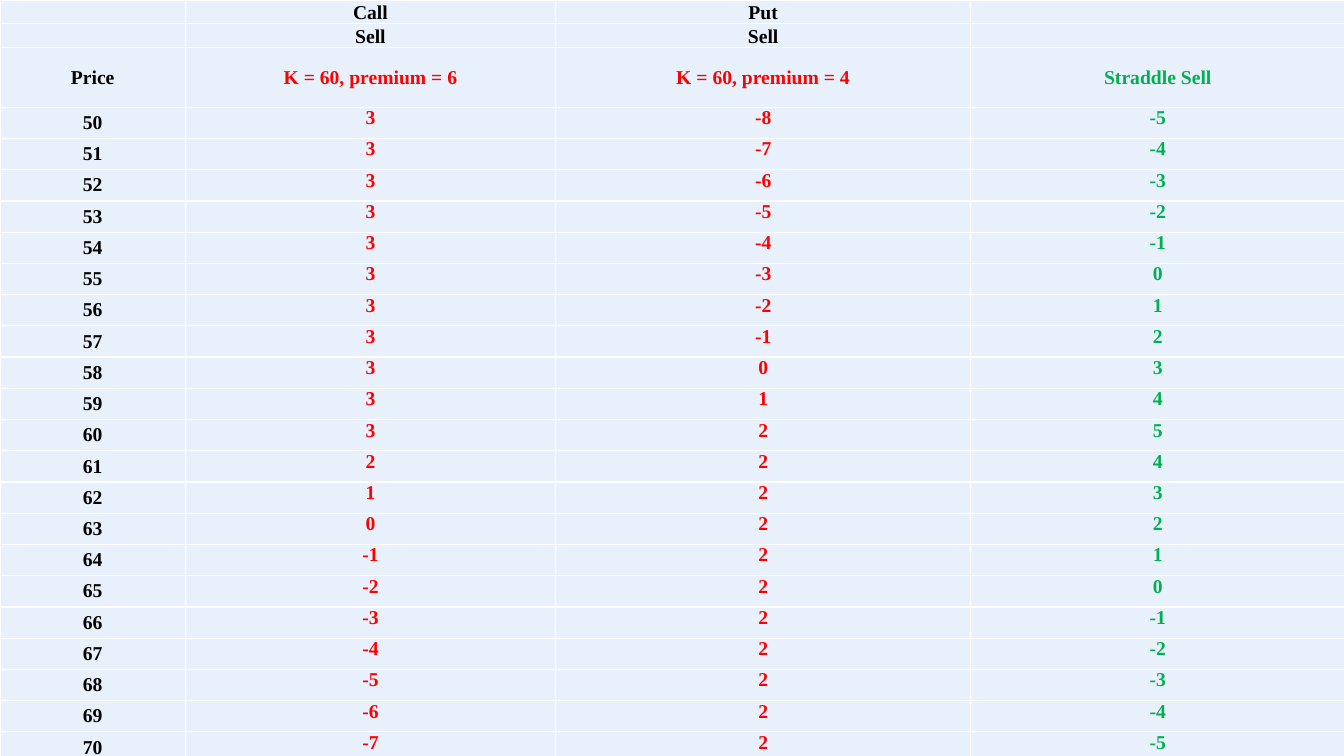
from lxml.etree import SubElement
from pptx import Presentation
from pptx.dml.color import RGBColor
from pptx.enum.text import MSO_ANCHOR as Anchor, PP_ALIGN as Align
from pptx.oxml.ns import qn
from pptx.util import Inches, Pt

BLACK, RED, GREEN = "000000", "FF0000", "00B050"
WHITE, GREY, PALE_BLUE = "FFFFFF", "B9B9B9", "E8F0FC"
FONT, SIZE = "Times New Roman", 14

# Grid of the table, in inches
COLUMNS = [1.84, 3.67, 4.12, 3.71]
HEADER_ROWS = [0.19, 0.2, 0.59]
PRICE_ROW = 0.31
TABLE_HEIGHT = 7.59

# Terms of the two sold options
CALL_STRIKE, CALL_PREMIUM = 60, 3
PUT_STRIKE, PUT_PREMIUM = 60, 2
PRICES = range(50, 71)

HEADERS = [
    ["", "Call", "Put", ""],
    ["", "Sell", "Sell", ""],
    ["Price", "K = 60, premium = 6", "K = 60, premium = 4", "Straddle Sell"],
]
COLUMN_COLOURS = [BLACK, RED, RED, GREEN]


def colour(code):
    return RGBColor.from_string(code)


def payoff_row(price):
    """Price, sold call, sold put and their sum."""
    call = CALL_PREMIUM - max(price - CALL_STRIKE, 0)
    put = PUT_PREMIUM - max(PUT_STRIKE - price, 0)
    return [price, call, put, call + put]


def paint_background(slide):
    fill = slide.background.fill
    fill.gradient()
    fill.gradient_angle = 270
    for stop, shade in zip(fill.gradient_stops, (WHITE, GREY)):
        stop.color.rgb = colour(shade)


def add_borders(cell, shade=WHITE, width=1):
    properties = cell._tc.get_or_add_tcPr()
    for side in ("a:lnL", "a:lnR", "a:lnT", "a:lnB"):
        line = SubElement(properties, qn(side), w=str(Pt(width)))
        solid = SubElement(line, qn("a:solidFill"))
        SubElement(solid, qn("a:srgbClr"), val=shade)


def write(cell, text, shade=BLACK, anchor=Anchor.MIDDLE):
    cell.margin_left = cell.margin_right = 0
    cell.margin_top = cell.margin_bottom = 0
    cell.vertical_anchor = anchor
    paragraph = cell.text_frame.paragraphs[0]
    paragraph.alignment = Align.CENTER
    if text == "":
        # Keeps an empty cell as low as its row
        paragraph._p.get_or_add_endParaRPr().set("sz", str(SIZE * 100))
        return
    run = paragraph.add_run()
    run.text = str(text)
    run.font.name, run.font.size, run.font.bold = FONT, Pt(SIZE), True
    run.font.color.rgb = colour(shade)


def cell_format(row, column):
    """Colour and anchor by place in the table."""
    if row < 2:
        return {"shade": BLACK, "anchor": Anchor.BOTTOM}
    is_value = row >= len(HEADERS) and column > 0
    return {"shade": COLUMN_COLOURS[column],
            "anchor": Anchor.TOP if is_value else Anchor.MIDDLE}


def add_payoff_table(slide, content):
    payoffs = slide.shapes.add_table(
        len(content), len(COLUMNS), 0, 0,
        Inches(sum(COLUMNS)), Inches(TABLE_HEIGHT)).table
    payoffs.first_row = payoffs.horz_banding = False
    for column, width in zip(payoffs.columns, COLUMNS):
        column.width = Inches(width)
    for row, height in zip(payoffs.rows, HEADER_ROWS + [PRICE_ROW] * len(PRICES)):
        row.height = Inches(height)
    for r, texts in enumerate(content):
        for c, text in enumerate(texts):
            cell = payoffs.cell(r, c)
            add_borders(cell)
            cell.fill.solid()
            cell.fill.fore_color.rgb = colour(PALE_BLUE)
            write(cell, text, **cell_format(r, c))


def main():
    deck = Presentation()
    deck.slide_width, deck.slide_height = Inches(13.33), Inches(7.5)
    slide = deck.slides.add_slide(deck.slide_layouts[6])
    paint_background(slide)
    add_payoff_table(slide, HEADERS + [payoff_row(price) for price in PRICES])
    deck.save("out.pptx")


if __name__ == "__main__":
    main()
